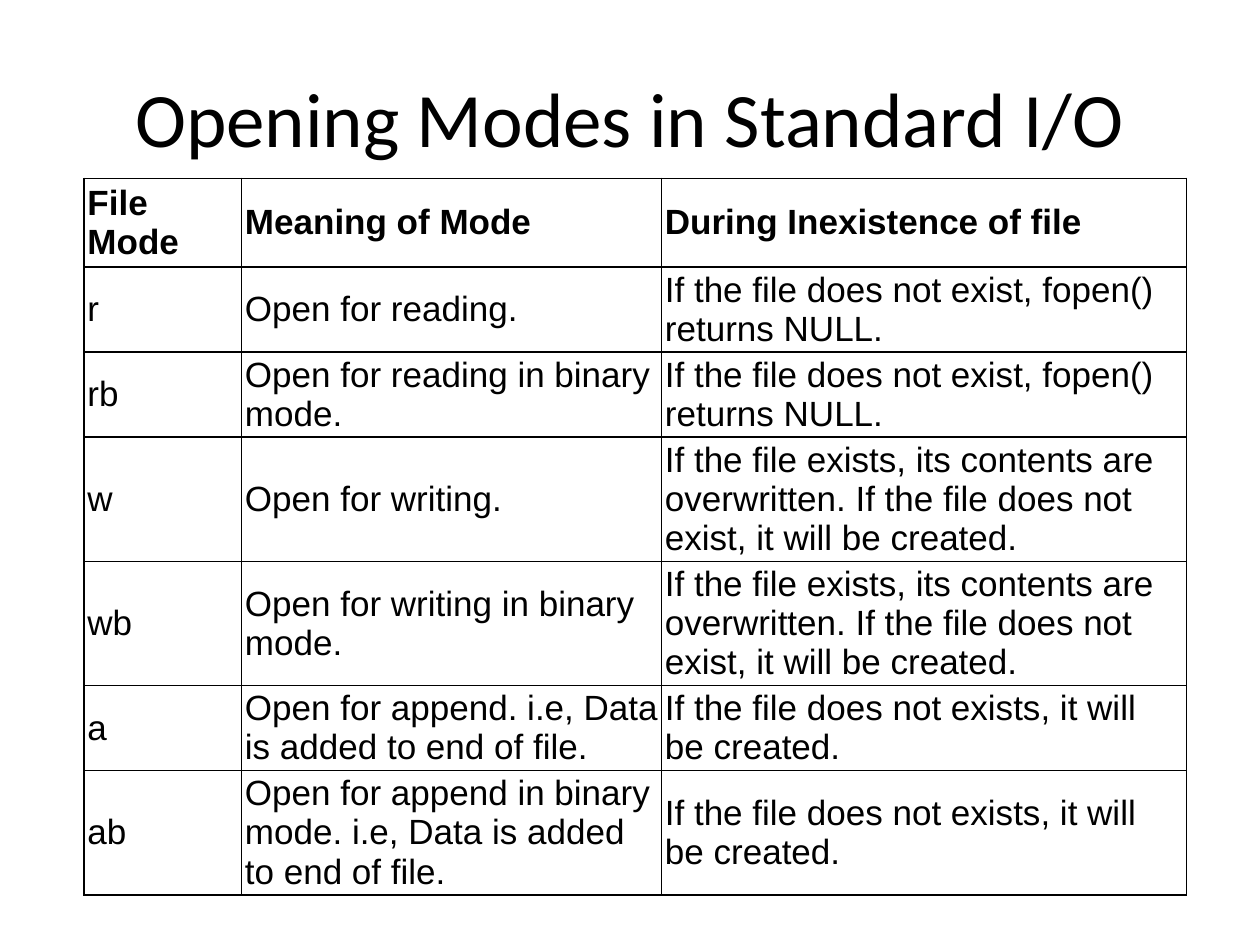
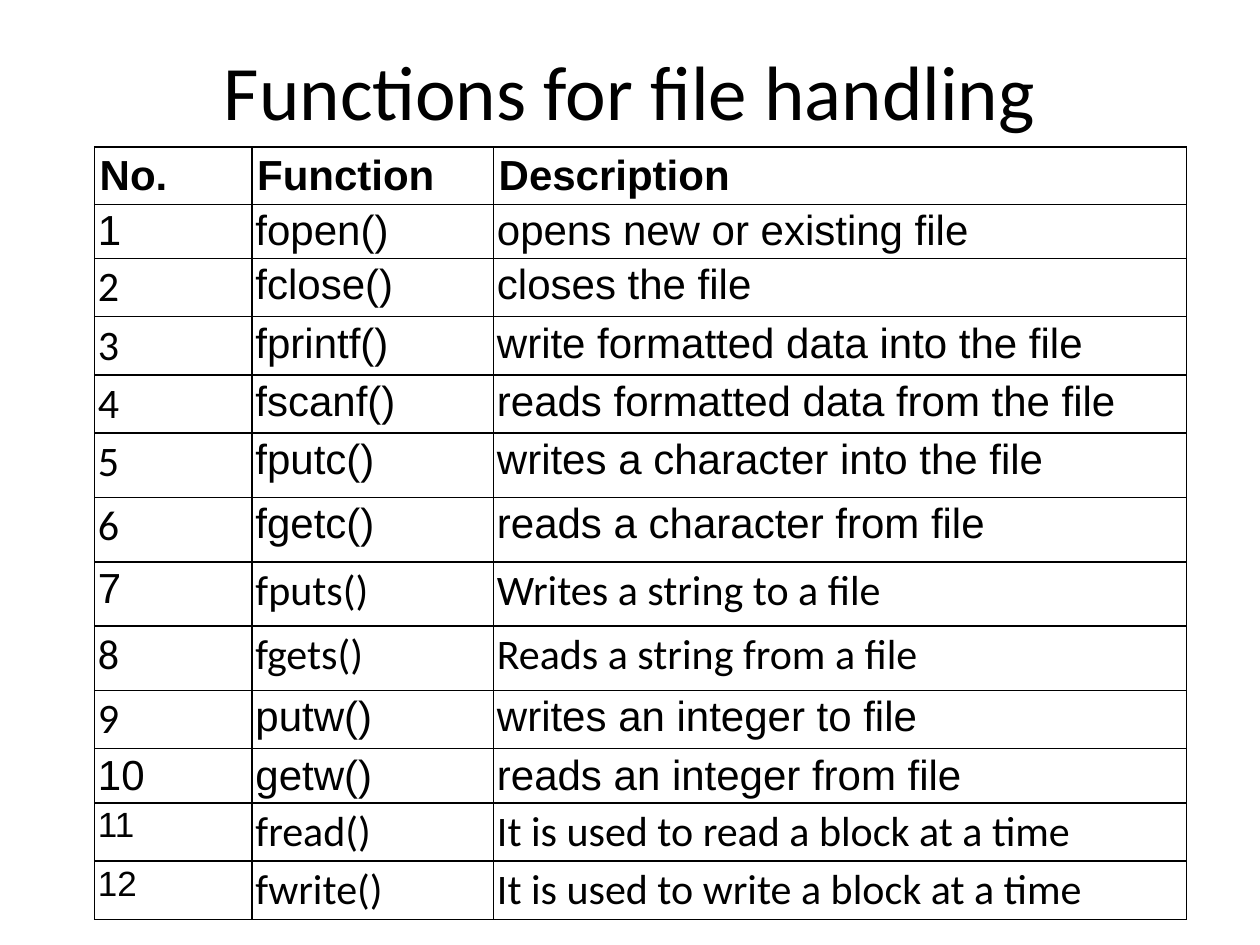
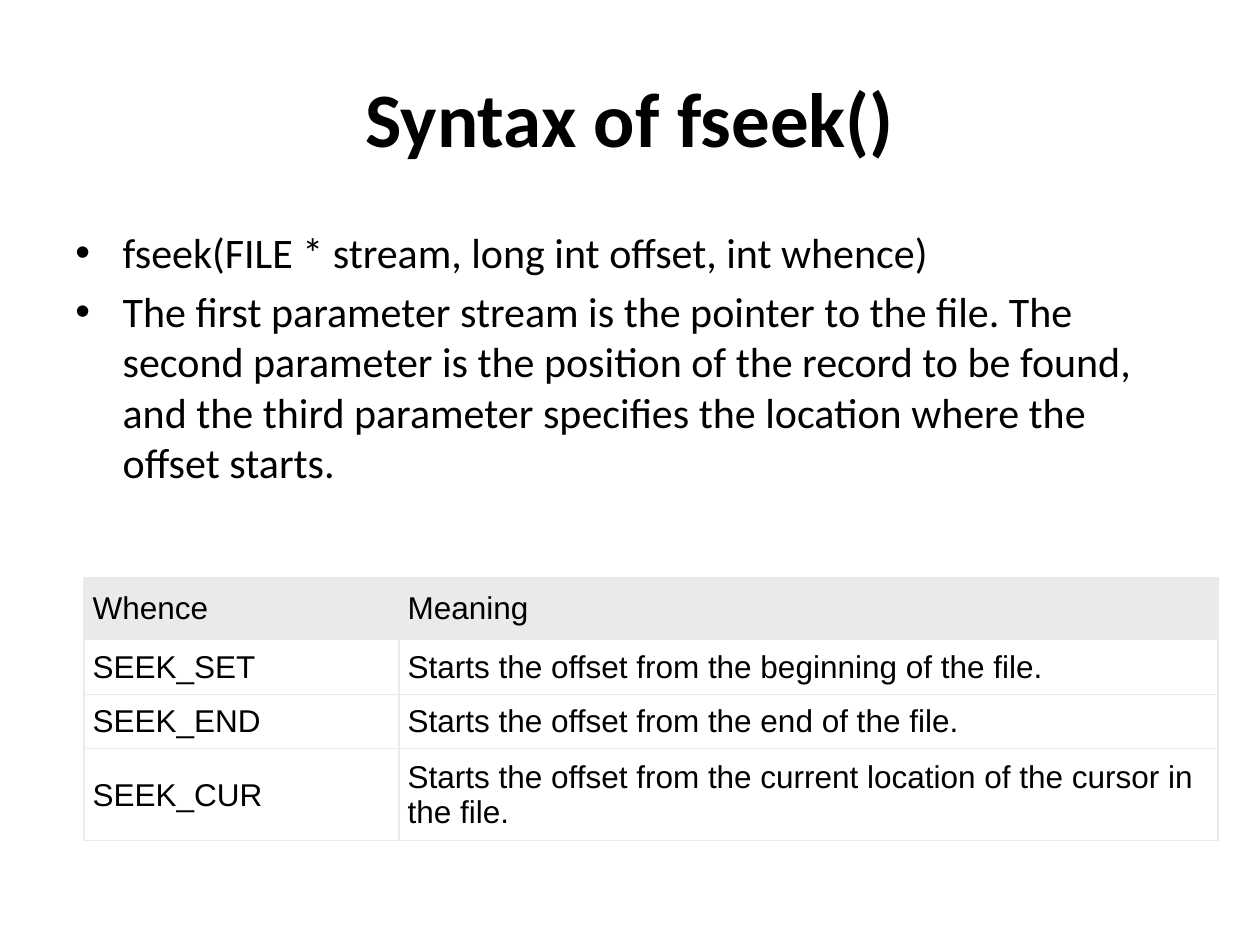
from dataclasses import dataclass

from lxml import etree
from pptx import Presentation
from pptx.dml.color import RGBColor
from pptx.enum.text import MSO_ANCHOR, MSO_AUTO_SIZE, PP_ALIGN
from pptx.oxml.ns import qn
from pptx.util import Pt

TOP, MIDDLE = MSO_ANCHOR.TOP, MSO_ANCHOR.MIDDLE
CENTER = PP_ALIGN.CENTER
NO_AUTOFIT = MSO_AUTO_SIZE.NONE
TITLE_ONLY = 5
BORDER_TAGS = ("a:lnL", "a:lnR", "a:lnT", "a:lnB")


@dataclass(frozen=True)
class Theme:
    """Colours, fonts and type sizes shared by the slides."""
    ink: str = "000000"
    paper: str = "FFFFFF"
    pale: str = "EAEAEC"
    text_font: str = "Calibri"
    table_font: str = "Arial"
    title: int = 44
    large: int = 24
    medium: int = 20
    small: int = 18


THEME = Theme()


@dataclass(frozen=True)
class TableStyle:
    """Look of one table; insets are left, top, right, bottom in points."""
    size: int
    anchor: int
    head_insets: tuple
    body_insets: tuple
    border: str = THEME.ink
    border_width: float = 1
    head_fill: str = THEME.paper
    head_bold: bool = True


MODES_STYLE = TableStyle(THEME.medium, MIDDLE, (2, 3, 1.5, 3), (2, 2, 1.5, 2))
FUNCTIONS_STYLE = TableStyle(THEME.large, TOP, (3, 3, 3, 3), (2, 2, 2, 2))
WHENCE_STYLE = TableStyle(THEME.small, MIDDLE, (5, 7, 4.5, 7), (5, 5, 4.5, 4.5),
                          THEME.pale, 0.75, THEME.pale, False)

NO_FILE = "If the file does not exist, fopen() returns NULL."
OVERWRITE = ("If the file exists, its contents are overwritten. "
             "If the file does not exist, it will be created.")
CREATE = "If the file does not exists, it will be created."

MODES = [
    ("File Mode", "Meaning of Mode", "During Inexistence of file"),
    ("r", "Open for reading.", NO_FILE),
    ("rb", "Open for reading in binary mode.", NO_FILE),
    ("w", "Open for writing.", OVERWRITE),
    ("wb", "Open for writing in binary mode.", OVERWRITE),
    ("a", "Open for append. i.e, Data is added to end of file.", CREATE),
    ("ab", "Open for append in binary mode. i.e, Data is added to end of file.", CREATE),
]

FUNCTIONS = [
    ("fopen()", "opens new or existing file"),
    ("fclose()", "closes the file"),
    ("fprintf()", "write formatted data into the file"),
    ("fscanf()", "reads formatted data from the file"),
    ("fputc()", "writes a character into the file"),
    ("fgetc()", "reads a character from file"),
    ("fputs()", "Writes a string to a file"),
    ("fgets()", "Reads a string from a file"),
    ("putw()", "writes an integer to file"),
    ("getw()", "reads an integer from file"),
    ("fread()", "It is used to read a block at a time"),
    ("fwrite()", "It is used to write a block at a time"),
]
TEXT_FONT_NUMBERS = (2, 3, 4, 5, 6, 8, 9)
TEXT_FONT_FUNCTIONS = (7, 8, 11, 12)
SMALLER_NUMBERS = (11, 12)

WHENCE = [
    ("Whence", "Meaning"),
    ("SEEK_SET", "Starts the offset from the beginning of the file."),
    ("SEEK_END", "Starts the offset from the end of the file."),
    ("SEEK_CUR", "Starts the offset from the current location of the cursor in the file."),
]

SYNTAX = [
    "fseek(FILE * stream, long int offset, int whence)",
    "The first parameter stream is the pointer to the file. The second parameter is "
    "the position of the record to be found, and the third parameter specifies the "
    "location where the offset starts.",
]


def style_text(frame, size, font, bold=False):
    """Format every run of a text frame."""
    for para in frame.paragraphs:
        for span in para.runs:
            span.font.size = Pt(size)
            span.font.name = font
            span.font.bold = bold
            span.font.color.rgb = RGBColor.from_string(THEME.ink)


def add_page(deck, title, top, bold=False):
    """Add a title-only slide with its title box at the given top."""
    page = deck.slides.add_slide(deck.slide_layouts[TITLE_ONLY])
    box = page.shapes.title
    box.left, box.top, box.width, box.height = Pt(36), Pt(top), Pt(648), Pt(90)
    frame = box.text_frame
    frame.text = title
    frame.auto_size = NO_AUTOFIT
    frame.vertical_anchor = MIDDLE
    frame.paragraphs[0].alignment = CENTER
    style_text(frame, THEME.title, THEME.text_font, bold)
    return page


def set_borders(cell, color, width):
    """Draw a solid line on all four sides of a cell."""
    properties = cell._tc.get_or_add_tcPr()
    for place, tag in enumerate(BORDER_TAGS):
        line = etree.Element(qn(tag), w=str(Pt(width)))
        fill = etree.SubElement(line, qn("a:solidFill"))
        etree.SubElement(fill, qn("a:srgbClr"), val=color)
        properties.insert(place, line)


def fill_cell(cell, text, style, is_head):
    """Write one table cell and apply its table style."""
    cell.text_frame.text = text
    style_text(cell.text_frame, style.size, THEME.table_font, is_head and style.head_bold)
    insets = style.head_insets if is_head else style.body_insets
    cell.margin_left, cell.margin_top, cell.margin_right, cell.margin_bottom = map(Pt, insets)
    cell.vertical_anchor = style.anchor
    cell.fill.solid()
    cell.fill.fore_color.rgb = RGBColor.from_string(style.head_fill if is_head else THEME.paper)
    set_borders(cell, style.border, style.border_width)


def add_grid(page, left, top, widths, heights, rows, style):
    """Add a table with a header row and return it."""
    grid = page.shapes.add_table(len(rows), len(widths), Pt(left), Pt(top),
                                 Pt(sum(widths)), Pt(sum(heights))).table
    grid.first_row = grid.horz_banding = False
    for column, width in zip(grid.columns, widths):
        column.width = Pt(width)
    for number, (row, height, texts) in enumerate(zip(grid.rows, heights, rows)):
        row.height = Pt(height)
        for cell, text in zip(row.cells, texts):
            fill_cell(cell, text, style, number == 0)
    return grid


def add_bullets(page, left, top, width, height, texts):
    """Add a text box of bulleted paragraphs with a hanging indent."""
    frame = page.shapes.add_textbox(Pt(left), Pt(top), Pt(width), Pt(height)).text_frame
    frame.word_wrap = True
    frame.text = "\n".join(texts)
    style_text(frame, THEME.large, THEME.text_font)
    for number, para in enumerate(frame.paragraphs):
        if number:
            para.space_before = Pt(4.8)
        properties = para._p.get_or_add_pPr()
        properties.set("marL", str(Pt(27)))
        properties.set("indent", str(Pt(-27)))
        etree.SubElement(properties, qn("a:buFont"), typeface=THEME.table_font)
        etree.SubElement(properties, qn("a:buChar"), char="•")


def build_modes(deck):
    """Build the slide of file opening modes."""
    page = add_page(deck, "Opening Modes in Standard I/O", 21.6)
    two_lines, three_lines = 48.5, 71
    heights = (50, two_lines, two_lines, three_lines, three_lines, two_lines, three_lines)
    add_grid(page, 48, 102, (90, 240, 300), heights, MODES, MODES_STYLE)


def build_functions(deck):
    """Build the slide listing the file handling functions."""
    page = add_page(deck, "Functions for file handling", 6)
    rows = [("No.", "Function", "Description")]
    rows += [(str(number), *entry) for number, entry in enumerate(FUNCTIONS, 1)]
    heights = [32.5, 31] + [33] * 3 + [36.75] * 4 + [33, 31, 33, 33]
    grid = add_grid(page, 54, 84, (90, 138, 396), heights, rows, FUNCTIONS_STYLE)
    for number in range(1, len(rows)):
        size = THEME.medium if number in SMALLER_NUMBERS else THEME.large
        font = THEME.text_font if number in TEXT_FONT_NUMBERS else THEME.table_font
        style_text(grid.cell(number, 0).text_frame, size, font)
        if number in TEXT_FONT_FUNCTIONS:
            for column in (1, 2):
                style_text(grid.cell(number, column).text_frame, THEME.large, THEME.text_font)


def build_syntax(deck):
    """Build the slide explaining the parameters of fseek."""
    page = add_page(deck, "Syntax of fseek()", 21.6, bold=True)
    add_bullets(page, 36, 126, 648, 356.4, SYNTAX)
    add_grid(page, 48, 330, (180, 468), (35, 29.5, 29.5, 50), WHENCE, WHENCE_STYLE)


def main():
    """Build and save the deck."""
    deck = Presentation()
    deck.slide_width, deck.slide_height = Pt(720), Pt(540)
    for build in (build_modes, build_functions, build_syntax):
        build(deck)
    deck.save("out.pptx")


if __name__ == "__main__":
    main()
